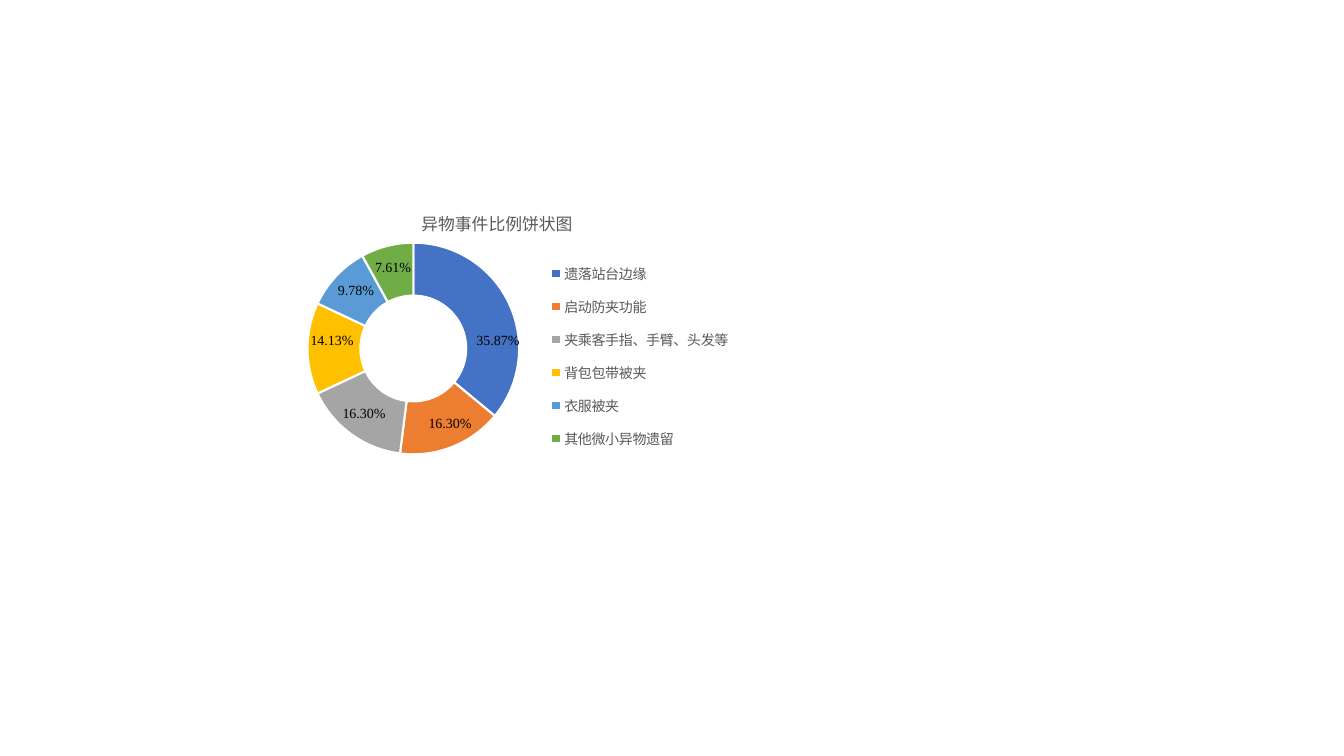
import lxml.etree
import pptx
import pptx.chart.data
import pptx.dml.color
import pptx.enum.chart
import pptx.enum.text
import pptx.oxml.ns
import pptx.util

PIXEL = 914400 / 100.8
COLORS = {
    "label": "000000", "caption": "595959", "border": "FFFFFF",
    "blue": "4472C4", "orange": "ED7D31", "gray": "A5A5A5",
    "yellow": "FFC000", "sky": "5B9BD5", "green": "70AD47",
}


def pixels(length):
    return pptx.util.Emu(round(length * PIXEL))


def set_layout(element, index, inner=False, **fractions):
    """Give a chart part a manual layout, in fractions of the chart."""
    tag = pptx.oxml.ns.qn
    for old in element.findall(tag("c:layout")):
        element.remove(old)
    layout = lxml.etree.Element(tag("c:layout"))
    manual = lxml.etree.SubElement(layout, tag("c:manualLayout"))
    settings = {"layoutTarget": "inner"} if inner else {}
    settings.update(xMode="edge", yMode="edge", **fractions)
    for name, value in settings.items():
        lxml.etree.SubElement(manual, tag("c:" + name)).set("val", str(value))
    element.insert(index, layout)


class SlideBuilder:
    def __init__(self, slide, font_name="Times New Roman", font_size=10):
        self.slide = slide
        self.font_name = font_name
        self.font_size = font_size

    def color(self, name):
        return pptx.dml.color.RGBColor.from_string(COLORS[name])

    def style(self, font, color, size=None):
        font.name = self.font_name
        font.size = pptx.util.Pt(size or self.font_size)
        font.bold = False
        font.color.rgb = self.color(color)

    def label(self, text, center_x, center_y, width=64, height=27):
        shape = self.slide.shapes.add_textbox(
            pixels(center_x - width / 2), pixels(center_y - height / 2),
            pixels(width), pixels(height))
        frame = shape.text_frame
        frame.word_wrap = False
        frame.auto_size = pptx.enum.text.MSO_AUTO_SIZE.SHAPE_TO_FIT_TEXT
        paragraph = frame.paragraphs[0]
        paragraph.alignment = pptx.enum.text.PP_ALIGN.CENTER
        run = paragraph.add_run()
        run.text = text
        self.style(run.font, "label")

    def doughnut(self, title, slices, left, top, width, height):
        data = pptx.chart.data.CategoryChartData()
        data.categories = [name for name, *_ in slices]
        data.add_series("Series 1", [value for _, value, *_ in slices])
        chart = self.slide.shapes.add_chart(
            pptx.enum.chart.XL_CHART_TYPE.DOUGHNUT, pixels(left), pixels(top),
            pixels(width), pixels(height), data).chart
        self.style(chart.font, "label")

        # Title
        chart.has_title = True
        frame = chart.chart_title.text_frame
        frame.text = title
        self.style(frame.paragraphs[0].runs[0].font, "caption", 12)
        set_layout(chart.chart_title._element, 1, x=0.34, y=0.05)

        # Ring
        plot = chart.plots[0]
        plot.has_data_labels = False
        set_layout(plot._element.getparent(), 0, inner=True,
                   x=0.12, y=0.17, w=0.42, h=0.71)
        for index, (_, _, color, *_) in enumerate(slices):
            point_format = plot.series[0].points[index].format
            point_format.fill.solid()
            point_format.fill.fore_color.rgb = self.color(color)
            point_format.line.color.rgb = self.color("border")
            point_format.line.width = pptx.util.Pt(1.5)

        # Legend
        chart.has_legend = True
        legend = chart.legend
        legend.position = pptx.enum.chart.XL_LEGEND_POSITION.BOTTOM
        legend.include_in_layout = False
        self.style(legend.font, "caption")
        set_layout(legend._element, 1, x=0.59, y=0.2, w=0.38, h=0.7)


presentation = pptx.Presentation()
presentation.slide_width = pixels(1344)
presentation.slide_height = pixels(756)
builder = SlideBuilder(
    presentation.slides.add_slide(presentation.slide_layouts[6]))

# Category, value, colour, label and label centre
event_slices = [
    ("遗落站台边缘", 36, "blue", "35.87%", 498, 340),
    ("启动防夹功能", 16, "orange", "16.30%", 450, 423),
    ("夹乘客手指、手臂、头发等", 16, "gray", "16.30%", 364, 413),
    ("背包包带被夹", 14, "yellow", "14.13%", 332, 340),
    ("衣服被夹", 10, "sky", "9.78%", 356, 290),
    ("其他微小异物遗留", 8, "green", "7.61%", 393, 267),
]
builder.doughnut("异物事件比例饼状图", event_slices, 247, 190, 504, 302)

# Percentages on the ring
for _, _, _, text, center_x, center_y in event_slices:
    builder.label(text, center_x, center_y)

presentation.save("out.pptx")
